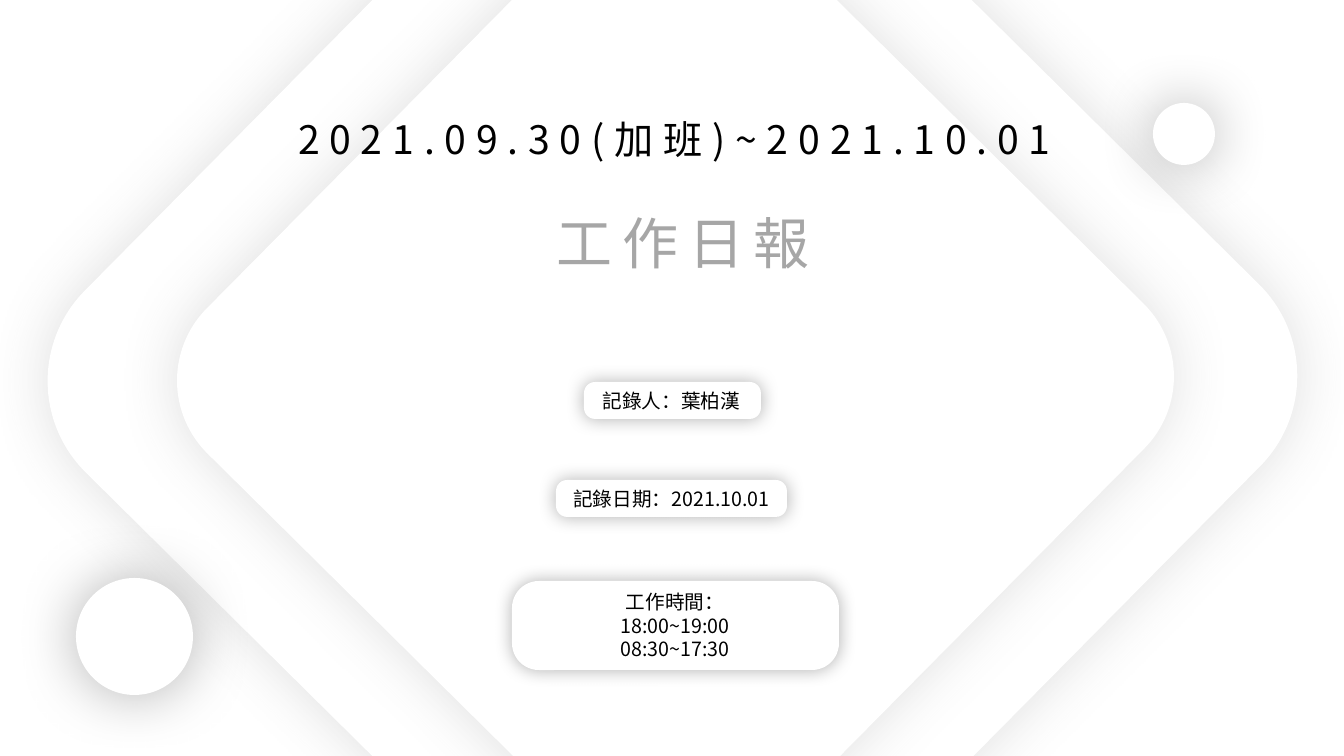
from dataclasses import dataclass

from lxml import etree
from pptx import Presentation
from pptx import util as u
from pptx.dml.color import RGBColor
from pptx.enum import shapes, text
from pptx.oxml.ns import qn

PX = u.Inches(1) / 100.8
FONT = "Noto Sans CJK SC"
COLORS = {
    "white": "FFFFFF",
    "black": "000000",
    "grey": "A6A6A6",
    "soft": "595959",
}
Box = tuple[int, int, int, int]


@dataclass
class Glow:
    color: str
    alpha: int
    blur: int


@dataclass
class Card:
    box: Box
    text_box: Box
    lines: list[str]


DIAMOND_GLOW = Glow("soft", 19, 43)
DISC_GLOW = Glow("black", 30, 43)
CARD_GLOW = Glow("black", 30, 13)

DIAMONDS: list[Box] = [(193, -101, 959, 959), (293, -4, 765, 765)]
DISCS: list[Box] = [(76, 578, 117, 117), (1153, 103, 62, 62)]
CARDS = [
    Card((584, 382, 177, 37), (566, 384, 211, 34), ["記錄人：葉柏漢"]),
    Card((556, 480, 231, 37), (550, 482, 243, 34), ["記錄日期：2021.10.01"]),
    Card((512, 581, 327, 89), (503, 585, 344, 82),
         ["工作時間：", "18:00~19:00", "08:30~17:30"]),
]


def emu(box: Box) -> list[int]:
    return [round(v * PX) for v in box]


def add_glowing(parent, kind, box: Box, glow: Glow):
    """Draw a white shape with a soft shadow all round."""
    sp = parent.add_shape(kind, *emu(box))
    sp.fill.solid()
    sp.fill.fore_color.rgb = RGBColor.from_string(COLORS["white"])
    sp.line.fill.background()
    sp.shadow.inherit = False
    effects = sp._element.spPr.find(qn("a:effectLst"))
    shadow = etree.SubElement(effects, qn("a:outerShdw"), blurRad=str(u.Pt(glow.blur)),
                              dist="0", dir="0", algn="ctr", rotWithShape="0")
    color = etree.SubElement(shadow, qn("a:srgbClr"), val=COLORS[glow.color])
    etree.SubElement(color, qn("a:alpha"), val=str(glow.alpha * 1000))
    return sp


def fill_text(sp, lines: list[str], size: int, color: str, spacing: int = 0) -> None:
    """Write centred lines, with letter spacing in points."""
    tf = sp.text_frame
    frame_format = {
        "word_wrap": True,
        "auto_size": text.MSO_AUTO_SIZE.SHAPE_TO_FIT_TEXT,
        "vertical_anchor": text.MSO_ANCHOR.TOP,
    }
    for name, value in frame_format.items():
        setattr(tf, name, value)
    for i, line in enumerate(lines):
        p = tf.add_paragraph() if i else tf.paragraphs[0]
        p.alignment = text.PP_ALIGN.CENTER
        p.space_before = u.Pt(0)
        r = p.add_run()
        r.text = line
        for name, value in {"size": u.Pt(size), "name": FONT}.items():
            setattr(r.font, name, value)
        r.font.color.rgb = RGBColor.from_string(COLORS[color])
        rPr = r._r.get_or_add_rPr()
        rPr.find(qn("a:latin")).addnext(rPr.makeelement(qn("a:ea"), {"typeface": FONT}))
        if spacing:
            rPr.set("spc", str(spacing * 100))


def place(sp, box: Box) -> None:
    for name, value in zip(("left", "top", "width", "height"), emu(box)):
        setattr(sp, name, value)


def main() -> None:
    prs = Presentation()
    prs.slide_width, prs.slide_height = round(1344 * PX), round(756 * PX)
    s = prs.slides.add_slide(prs.slide_layouts[0])
    title, subtitle = s.placeholders

    # Background diamonds, behind the title
    for box in DIAMONDS:
        sp = add_glowing(s.shapes, shapes.MSO_SHAPE.ROUNDED_RECTANGLE, box, DIAMOND_GLOW)
        sp.rotation = 44.7
        sp.adjustments[0] = 0.134
        title._element.addprevious(sp._element)

    # Title and subtitle
    place(title, (268, 110, 813, 57))
    fill_text(title, ["2021.09.30(加班)~2021.10.01"], 28, "black", 7)
    place(subtitle, (444, 203, 479, 78))
    fill_text(subtitle, ["工作日報"], 40, "grey", 7)

    # Corner discs
    for box in DISCS:
        add_glowing(s.shapes, shapes.MSO_SHAPE.OVAL, box, DISC_GLOW)

    # Record cards
    for card in CARDS:
        group = s.shapes.add_group_shape().shapes
        sp = add_glowing(group, shapes.MSO_SHAPE.ROUNDED_RECTANGLE, card.box, CARD_GLOW)
        sp.adjustments[0] = 0.302
        fill_text(group.add_textbox(*emu(card.text_box)), card.lines, 14, "black")

    prs.save("out.pptx")


if __name__ == "__main__":
    main()
